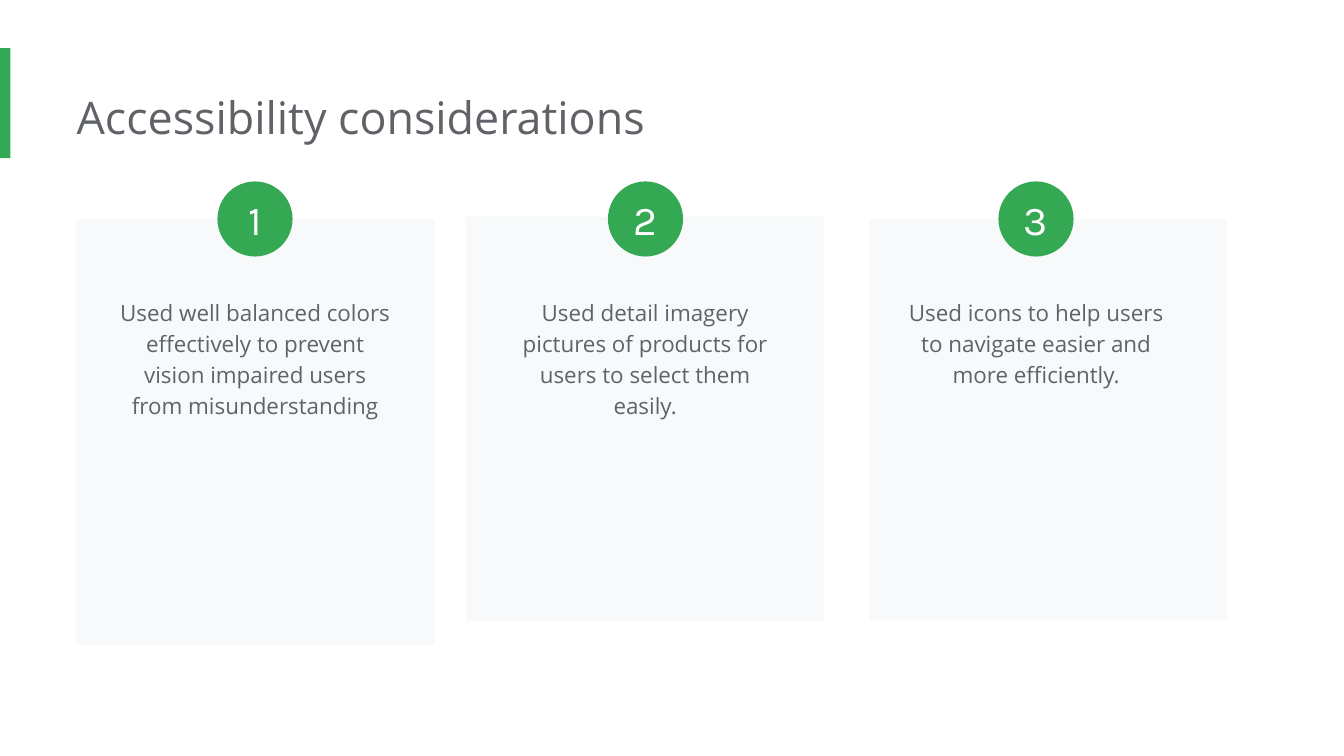
from dataclasses import dataclass

from pptx import Presentation
from pptx.dml.color import RGBColor
from pptx.enum.shapes import MSO_SHAPE
from pptx.enum.text import MSO_ANCHOR, PP_ALIGN
from pptx.util import Cm, Pt


@dataclass(frozen=True)
class Theme:
    green: RGBColor = RGBColor.from_string("34A853")
    card: RGBColor = RGBColor.from_string("F8F9FA")
    gray: RGBColor = RGBColor.from_string("5F6368")
    white: RGBColor = RGBColor.from_string("FFFFFF")
    title: Pt = Pt(24)
    number: Pt = Pt(22)
    body: Pt = Pt(12)


theme = Theme()


def add_block(slide, text="", *, at, shape=None, fill=None, size=theme.body,
              color=theme.gray, font="Open Sans", align=PP_ALIGN.CENTER,
              anchor=MSO_ANCHOR.TOP, insets=(0.25, 0.25, 0.25, 0.25), spacing=1.0):
    box = [Cm(v) for v in at]
    if shape is None:
        sp = slide.shapes.add_textbox(*box)
    else:
        sp = slide.shapes.add_shape(shape, *box)
        sp.shadow.inherit = False
        sp.fill.solid()
        sp.fill.fore_color.rgb = fill
        sp.line.fill.background()
    if text:
        tf = sp.text_frame
        tf.word_wrap = True
        tf.vertical_anchor = anchor
        tf.margin_left, tf.margin_top, tf.margin_right, tf.margin_bottom = map(Cm, insets)
        p = tf.paragraphs[0]
        p.alignment = align
        p.line_spacing = spacing
        r = p.add_run()
        r.text = text
        r.font.name = font
        r.font.size = size
        r.font.color.rgb = color


prs = Presentation()
prs.slide_width, prs.slide_height = Cm(25.4), Cm(14.29)
s = prs.slides.add_slide(prs.slide_layouts[6])

add_block(s, at=(0, 0.91, 0.2, 2.08), shape=MSO_SHAPE.RECTANGLE, fill=theme.green)
add_block(s, "Accessibility considerations", at=(1.45, 1.45, 19.46, 1.55),
          size=theme.title, align=PP_ALIGN.LEFT, insets=(0, 0.25, 0.25, 0.25))

cards = [
    ("Used well balanced colors effectively to prevent vision impaired users "
     "from misunderstanding", 1.45, 4.14, 8.05, 1.98, 2.87),
    ("Used detail imagery pictures of products for users to select them easily.",
     8.81, 4.09, 7.65, 9.35, 2.87),
    ("Used icons to help users to navigate easier and more efficiently.",
     16.43, 4.14, 7.59, 16.74, 2.29),
]
for i, (text, left, top, height, text_left, text_height) in enumerate(cards):
    add_block(s, at=(left, top, 6.76, height), shape=MSO_SHAPE.RECTANGLE, fill=theme.card)
    add_block(s, text, at=(text_left, 5.33, 5.69, text_height), spacing=1.15)
    add_block(s, str(i + 1), at=(4.11 + i * 7.38, 3.43, 1.42, 1.42),
              shape=MSO_SHAPE.OVAL, fill=theme.green, size=theme.number,
              color=theme.white, font="Karla", anchor=MSO_ANCHOR.MIDDLE,
              insets=(0, 0, 0, 0))

prs.save("out.pptx")
